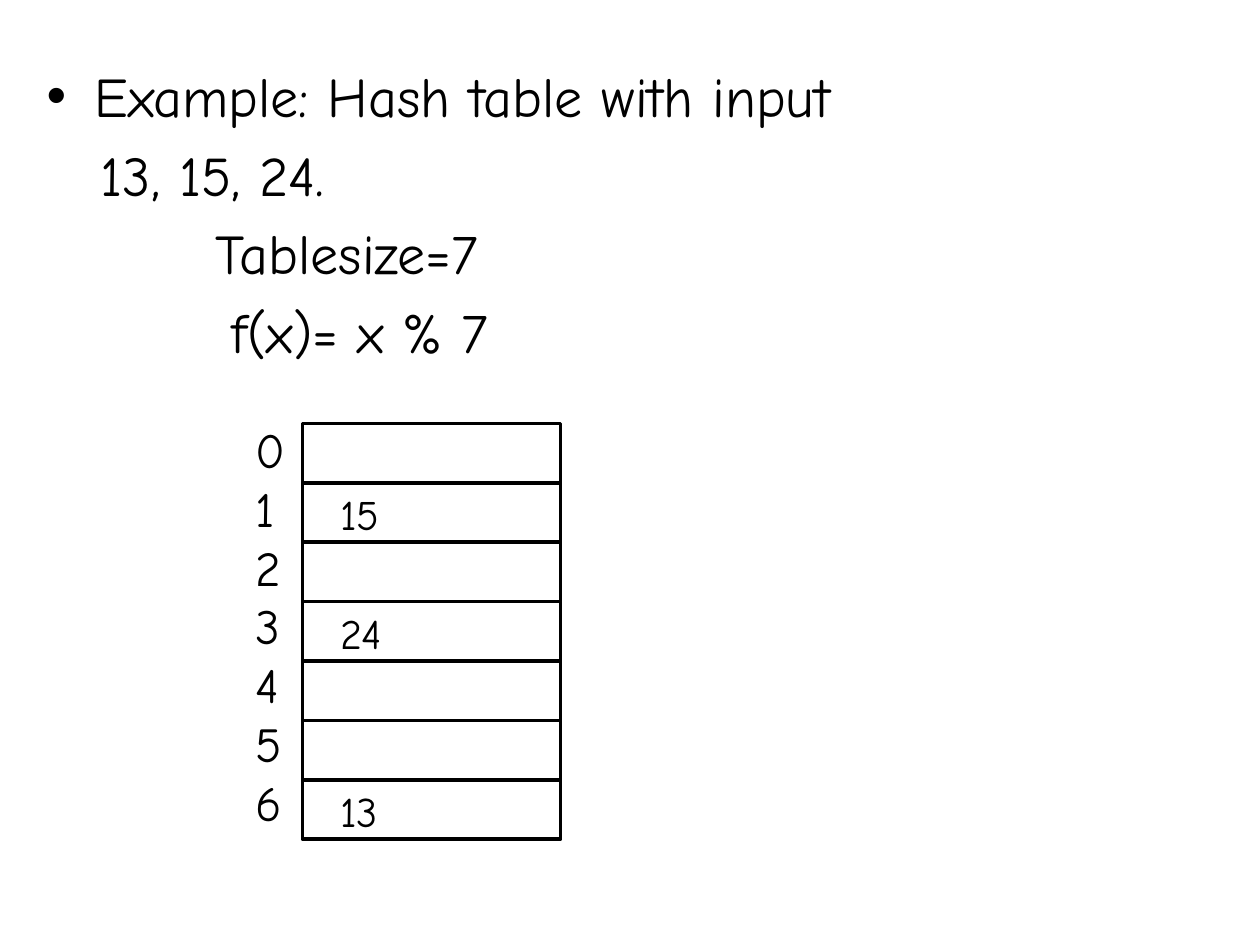
from lxml import etree
from pptx import Presentation
from pptx.dml.color import RGBColor
from pptx.enum.shapes import MSO_SHAPE
from pptx.enum.text import MSO_ANCHOR, MSO_AUTO_SIZE, PP_ALIGN
from pptx.oxml.ns import qn
from pptx.util import Inches, Pt

RECT = MSO_SHAPE.RECTANGLE
TOP = MSO_ANCHOR.TOP
NO_FIT = MSO_AUTO_SIZE.NONE
LEFT = PP_ALIGN.LEFT
FONT = "Comic Neue"
BLACK = "000000"


def color(value):
    return RGBColor.from_string(value)


def write(tf, text, size, first=True, before=0, indent=None, bullet=None):
    """Write one paragraph; indent is (left margin, first line) in inches."""
    p = tf.paragraphs[0] if first else tf.add_paragraph()
    if indent:
        pPr = p._p.get_or_add_pPr()
        pPr.set("marL", str(Inches(indent[0])))
        pPr.set("indent", str(Inches(indent[1])))
        if bullet:
            etree.SubElement(pPr, qn("a:buChar")).set("char", bullet)
        else:
            etree.SubElement(pPr, qn("a:buNone"))
    p.alignment = LEFT
    p.space_before = Pt(before)
    r = p.add_run()
    r.text = text
    r.font.name = FONT
    r.font.size = Pt(size)
    r.font.color.rgb = color(BLACK)


prs = Presentation()
prs.slide_width, prs.slide_height = Inches(10), Inches(7.5)
s = prs.slides.add_slide(prs.slide_layouts[1])
title = s.shapes.title
title.element.getparent().remove(title.element)

# Example description
body = s.placeholders[1]
body.left, body.top = Inches(0.27), Inches(0.44)
body.width, body.height = Inches(8.42), Inches(2.6)
tf = body.text_frame
tf.auto_size = NO_FIT
tf.vertical_anchor = TOP
lines = [
    ("Example: Hash table with input", (0.38, -0.38), "•"),
    ("13, 15, 24.", (0.43, 0), None),
    ("Tablesize=7", (1.34, 0), None),
    ("f(x)= x % 7", (1.47, 0), None),
]
for i, (text, indent, bullet) in enumerate(lines):
    write(tf, text, 32, first=i == 0, before=6.4 if i else 0,
          indent=indent, bullet=bullet)

# Hash table slots
table_size = 7
slot_height = 3.3 / table_size
slots = {13 % table_size: "13", 15 % table_size: "15", 24 % table_size: "24"}
for i in range(table_size):
    sp = s.shapes.add_shape(RECT, Inches(2.4), Inches(3.36 + i * slot_height),
                            Inches(2.05), Inches(slot_height))
    sp.shadow.inherit = False
    sp.fill.background()
    sp.line.color.rgb = color(BLACK)
    sp.line.width = Pt(2)
    if i in slots:
        tf = sp.text_frame
        tf.vertical_anchor = TOP
        tf.margin_left = Inches(0.3)
        write(tf, slots[i], 24)

# Slot indices
tf = s.shapes.add_textbox(Inches(1.93), Inches(3.28), Inches(0.47), Inches(3.7)).text_frame
tf.word_wrap = True
for i in range(table_size):
    write(tf, str(i), 28, first=i == 0)

prs.save("out.pptx")
